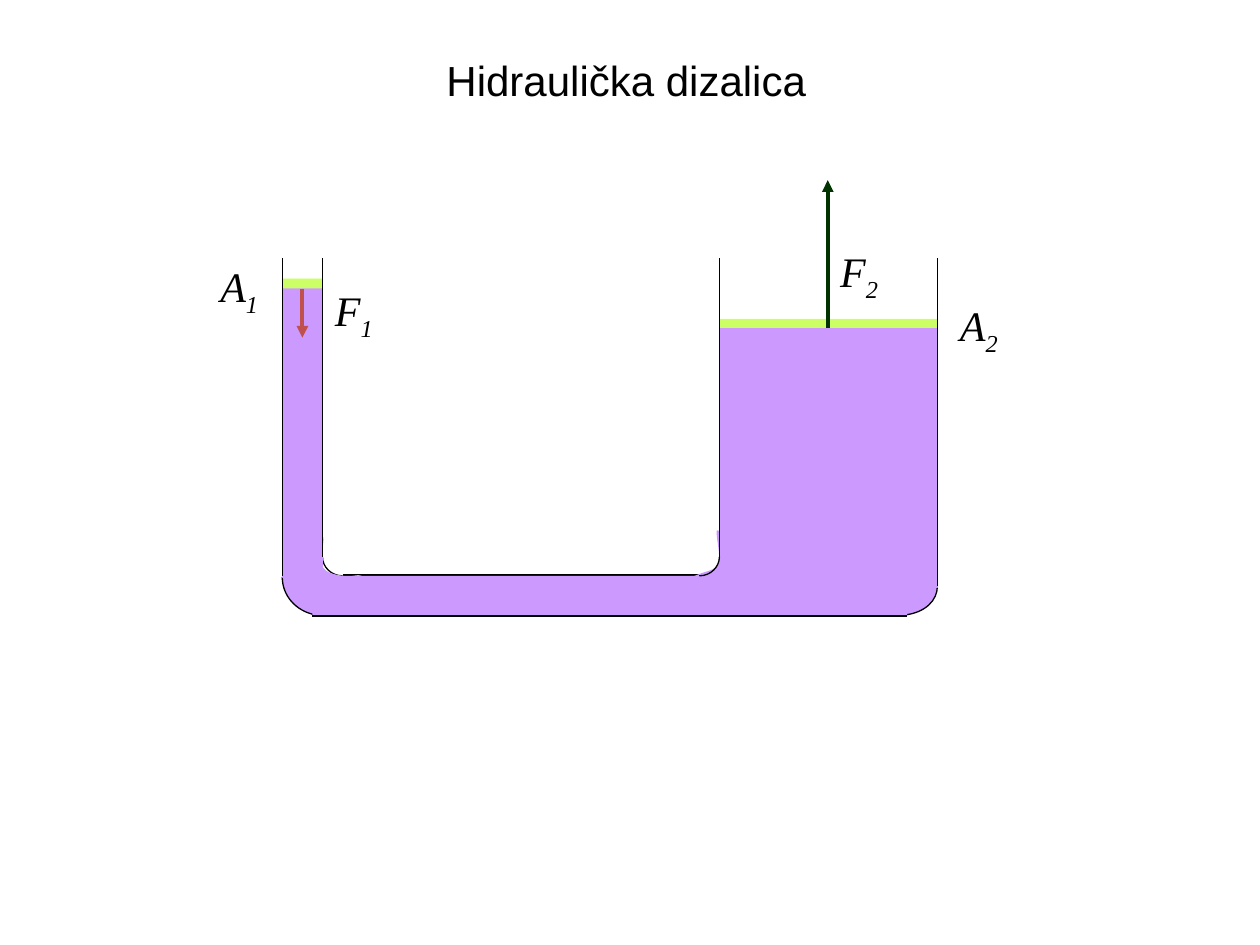
"""Build a slide showing a hydraulic lift with its forces and piston areas."""
import copy

import lxml.etree
import pptx
import pptx.dml.color
import pptx.enum.shapes
import pptx.enum.text
import pptx.oxml.ns
import pptx.util

Inches = pptx.util.Inches
Pt = pptx.util.Pt
qn = pptx.oxml.ns.qn
LIQUID, PISTON, BLACK, WHITE = "CC99FF", "CCFF66", "000000", "FFFFFF"


def paint(shape, fill=None, line=None):
    shape.shadow.inherit = False
    if fill:
        shape.fill.solid()
        shape.fill.fore_color.rgb = pptx.dml.color.RGBColor.from_string(fill)
    else:
        shape.fill.background()
    if line:
        shape.line.color.rgb = pptx.dml.color.RGBColor.from_string(line)
        shape.line.width = Pt(0.75)
    else:
        shape.line.fill.background()


def add_curve(points, fill=None, line=None, corner=None):
    outline = [(Inches(x), Inches(y)) for x, y in points + ([corner] if corner else [])]
    builder = slide.shapes.build_freeform(*outline[0])
    builder.add_line_segments(outline[1:], close=True)
    shape = builder.convert_to_shape()
    paint(shape, fill, line)
    filled = shape._element.find(".//" + qn("a:path"))
    segments = filled.findall(qn("a:lnTo"))
    for index in range(0, len(points) - 1, 3):
        bezier = lxml.etree.Element(qn("a:cubicBezTo"))
        segments[index].addprevious(bezier)
        for segment in segments[index:index + 3]:
            bezier.append(segment[0])
            filled.remove(segment)
    if corner:
        stroked = copy.deepcopy(filled)
        for tag in ("a:lnTo", "a:close"):
            stroked.remove(stroked.find(qn(tag)))
        stroked.set("fill", "none")
        filled.set("stroke", "0")
        filled.addprevious(stroked)


presentation = pptx.Presentation()
presentation.slide_width, presentation.slide_height = Inches(10), Inches(7.5)
slide = presentation.slides.add_slide(presentation.slide_layouts[5])

title = slide.shapes.title
title.left, title.top, title.width, title.height = (Inches(v) for v in (3.44, 0.38, 3.06, 0.5))
title.text_frame.word_wrap = False
title.text_frame.auto_size = pptx.enum.text.MSO_AUTO_SIZE.SHAPE_TO_FIT_TEXT
title.text_frame.vertical_anchor = pptx.enum.text.MSO_ANCHOR.TOP
run = title.text_frame.paragraphs[0].add_run()
run.text = "Hidraulička dizalica"
run.font.name, run.font.size = "Arial", Pt(24)
run.font.color.rgb = pptx.dml.color.RGBColor.from_string(BLACK)

left_joint = [(2.56, 4.26), (2.59, 4.25), (2.53, 4.44), (2.56, 4.5),
              (2.59, 4.55), (2.66, 4.56), (2.72, 4.57),
              (2.77, 4.59), (2.85, 4.55), (2.87, 4.57),
              (2.9, 4.6), (2.95, 4.73), (2.87, 4.73),
              (2.8, 4.73), (2.45, 4.65), (2.4, 4.57),
              (2.35, 4.5), (2.53, 4.27), (2.56, 4.26)]
right_joint = [(5.7, 4.21), (5.66, 4.18), (5.73, 4.41), (5.7, 4.47),
               (5.68, 4.53), (5.61, 4.53), (5.54, 4.56),
               (5.48, 4.59), (5.24, 4.63), (5.3, 4.65),
               (5.37, 4.66), (5.88, 4.72), (5.94, 4.65),
               (6.01, 4.57), (5.74, 4.24), (5.7, 4.21)]
inner_left = [(2.72, 4.57), (2.63, 4.57), (2.56, 4.5), (2.56, 4.42)]
inner_right = [(5.55, 4.57), (5.64, 4.57), (5.71, 4.5), (5.71, 4.42)]
outer_left = [(2.5, 4.88), (2.35, 4.85), (2.24, 4.73), (2.24, 4.58)]
outer_right = [(7.19, 4.88), (7.34, 4.86), (7.44, 4.77), (7.44, 4.65)]

parts = [
    ("area", (5.71, 2.53, 1.73, 0.08), PISTON, None),
    ("arrow", (6.57, 2.61, 6.57, 1.43), "003300", 2.25),
    ("area", (5.71, 2.61, 1.73, 0.55), LIQUID, None),
    ("line", (2.72, 4.57, 5.55, 4.57), BLACK, 2.25),
    ("curve", inner_left, None, BLACK, (2.72, 4.42)),
    ("curve", outer_left, LIQUID, BLACK, (2.56, 4.58)),
    ("curve", outer_right, LIQUID, BLACK, (7.13, 4.65)),
    ("area", (2.24, 2.29, 0.32, 2.29), LIQUID, LIQUID),
    ("area", (2.48, 4.57, 4.72, 0.31), LIQUID, None),
    ("area", (5.71, 2.61, 1.73, 2.05), LIQUID, LIQUID),
    ("curve", right_joint, LIQUID, None, None),
    ("curve", inner_right, None, BLACK, (5.55, 4.42)),
    ("curve", left_joint, LIQUID, None, None),
    ("line", (2.48, 4.89, 7.2, 4.89), BLACK, 0.75),
    ("line", (5.71, 2.05, 5.71, 4.42), BLACK, 0.75),
    ("line", (2.24, 2.05, 2.24, 4.57), BLACK, 0.75),
    ("line", (7.44, 2.05, 7.44, 4.65), BLACK, 0.75),
    ("line", (2.56, 2.05, 2.56, 4.42), BLACK, 0.75),
    ("arrow", (2.4, 2.29, 2.4, 2.68), "C0504D", 2.25),
    ("area", (2.24, 2.21, 0.32, 0.08), PISTON, None),
    ("area", (2.24, 0.64, 0.32, 1.57), WHITE, None),
    ("line", (2.56, 2.05, 2.56, 4.1), BLACK, 0.75),
    ("line", (2.24, 2.05, 2.24, 4.1), BLACK, 0.75),
]
for kind, place, *style in parts:
    if kind == "curve":
        add_curve(place, *style)
        continue
    box = [Inches(value) for value in place]
    if kind == "area":
        paint(slide.shapes.add_shape(pptx.enum.shapes.MSO_SHAPE.RECTANGLE, *box), *style)
        continue
    color, width = style
    connector = slide.shapes.add_connector(pptx.enum.shapes.MSO_CONNECTOR.STRAIGHT, *box)
    connector.line.color.rgb = pptx.dml.color.RGBColor.from_string(color)
    connector.line.width = Pt(width)
    if kind == "arrow":
        lxml.etree.SubElement(connector.line._get_or_add_ln(), qn("a:tailEnd"), type="triangle")
    lxml.etree.SubElement(connector._element.spPr, qn("a:effectLst"))

labels = [("F", "1", 2.56, 2.21), ("F", "2", 6.57, 1.9),
          ("A", "1", 1.65, 2.02), ("A", "2", 7.52, 2.33)]
for symbol, index, left, top in labels:
    label = slide.shapes.add_textbox(Inches(left), Inches(top), Inches(0.52), Inches(0.5))
    label.text_frame.word_wrap = False
    label.text_frame.auto_size = pptx.enum.text.MSO_AUTO_SIZE.SHAPE_TO_FIT_TEXT
    paragraph = label.text_frame.paragraphs[0]
    for text in (symbol, index):
        run = paragraph.add_run()
        run.text = text
        run.font.name, run.font.size, run.font.italic = "Times New Roman", Pt(24), True
        run.font.color.rgb = pptx.dml.color.RGBColor.from_string(BLACK)
    run.font._element.set("baseline", "-25000")

presentation.save("out.pptx")
